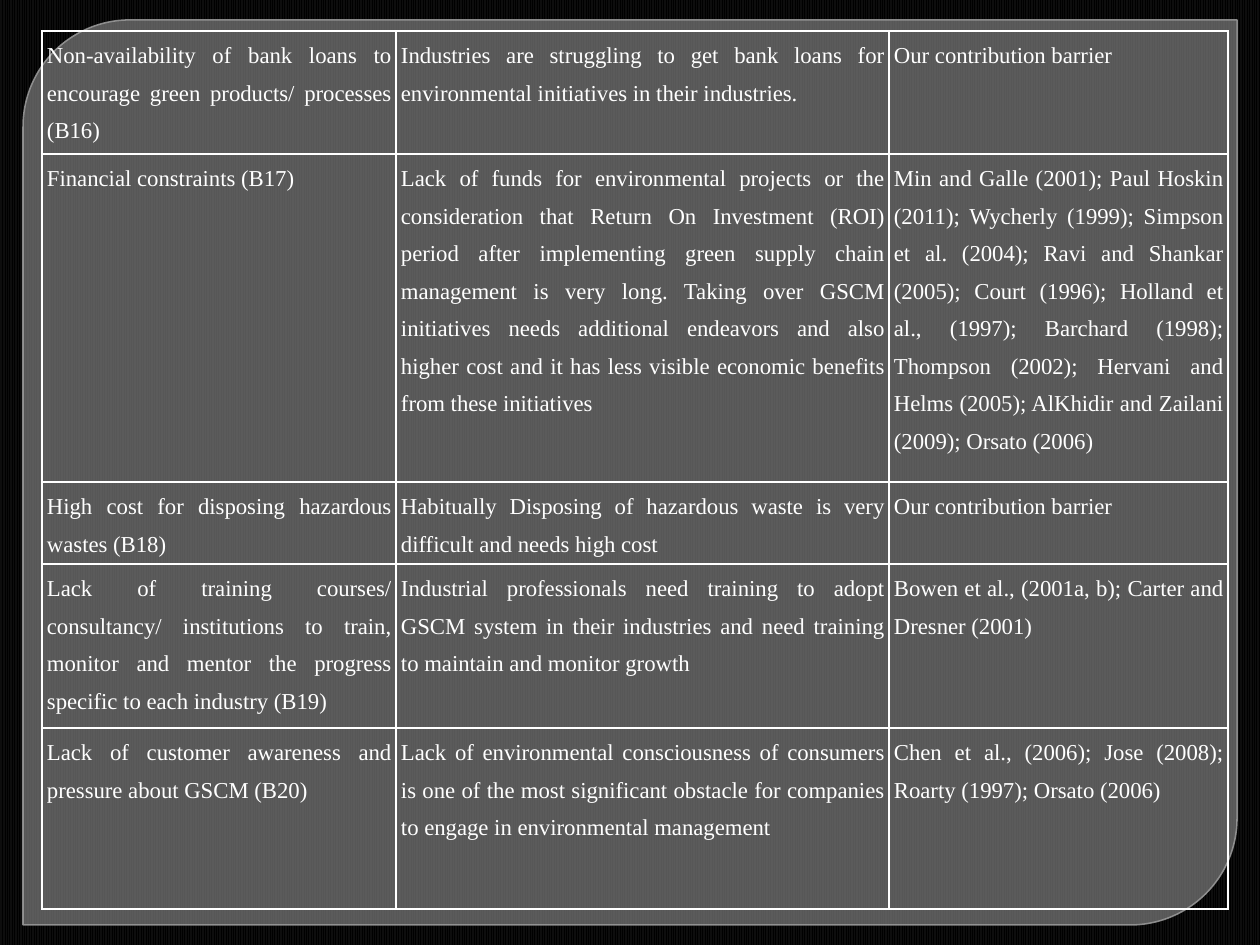
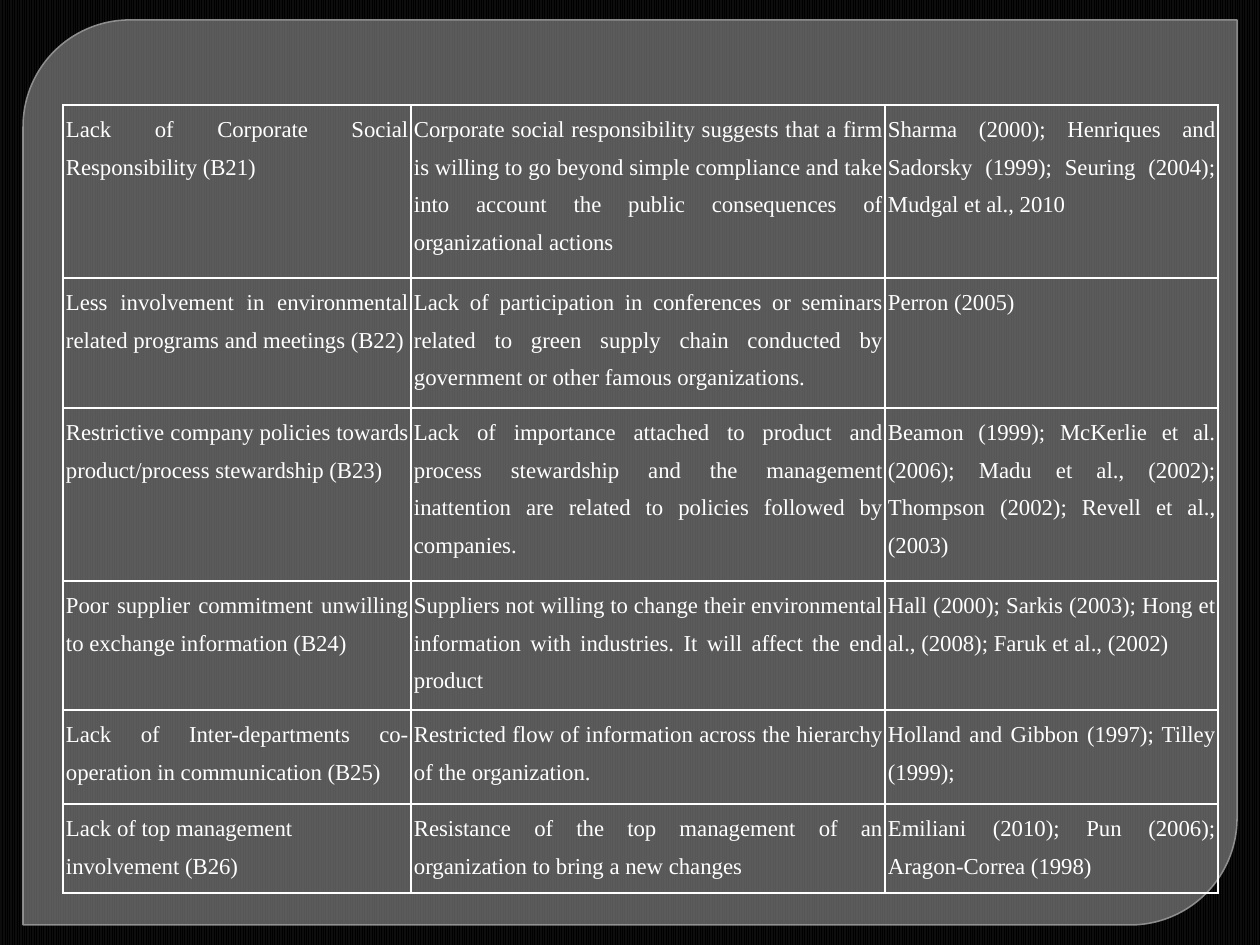
from lxml.etree import SubElement
from pptx import Presentation
from pptx.dml.color import RGBColor
from pptx.enum.dml import MSO_PATTERN as Pattern
from pptx.enum.shapes import MSO_SHAPE as Shape
from pptx.enum.text import MSO_ANCHOR as Anchor, PP_ALIGN as Align
from pptx.oxml import parse_xml
from pptx.oxml.ns import nsdecls, qn
from pptx.util import Pt

EMU_PER_PX = 914400 / 126
BLACK = RGBColor(0x00, 0x00, 0x00)
STRIPE = RGBColor(0x0D, 0x0D, 0x0D)
PANEL = RGBColor(0x86, 0x86, 0x86)
PANEL_EDGE = RGBColor(0x9A, 0x9A, 0x9A)
WHITE = RGBColor(0xFF, 0xFF, 0xFF)
FONT = "Times New Roman"
TEXT_SIZE = Pt(13)
LINE_SPACING = 1.5

FINANCE_AND_AWARENESS = [
    ("Non-availability of bank loans to encourage green products/ processes (B16)",
     "Industries are struggling to get bank loans for environmental initiatives "
     "in their industries.",
     "Our contribution barrier"),
    ("Financial constraints (B17)",
     "Lack of funds for environmental projects or the consideration that Return On "
     "Investment (ROI) period after implementing green supply chain management is very "
     "long. Taking over GSCM initiatives needs additional endeavors and also higher cost "
     "and it has less visible economic benefits from these initiatives",
     "Min and Galle (2001); Paul Hoskin (2011); Wycherly (1999); Simpson et al. (2004); "
     "Ravi and Shankar (2005); Court (1996); Holland et al., (1997); Barchard (1998); "
     "Thompson (2002); Hervani and Helms (2005); AlKhidir and Zailani (2009); Orsato (2006)"),
    ("High cost for disposing hazardous wastes (B18)",
     "Habitually Disposing of hazardous waste is very difficult and needs high cost",
     "Our contribution barrier"),
    ("Lack of training courses/ consultancy/ institutions to train, monitor and mentor "
     "the progress specific to each industry (B19)",
     "Industrial professionals need training to adopt GSCM system in their industries "
     "and need training to maintain and monitor growth",
     "Bowen et al., (2001a, b); Carter and Dresner (2001)"),
    ("Lack of customer awareness and pressure about GSCM (B20)",
     "Lack of environmental consciousness of consumers is one of the most significant "
     "obstacle for companies to engage in environmental management",
     "Chen et al., (2006); Jose (2008); Roarty (1997); Orsato (2006)"),
]

POLICY_AND_MANAGEMENT = [
    ("Lack of Corporate Social Responsibility (B21)",
     "Corporate social responsibility suggests that a firm is willing to go beyond simple "
     "compliance and take into account the public consequences of organizational actions",
     "Sharma (2000); Henriques and Sadorsky (1999); Seuring (2004); Mudgal et al., 2010"),
    ("Less involvement in environmental related programs and meetings (B22)",
     "Lack of participation in conferences or seminars related to green supply chain "
     "conducted by government or other famous organizations.",
     "Perron (2005)"),
    ("Restrictive company policies towards product/process stewardship (B23)",
     "Lack of importance attached to product and process stewardship and the management "
     "inattention are related to policies followed by companies.",
     "Beamon (1999); McKerlie et al. (2006); Madu et al., (2002); Thompson (2002); "
     "Revell et al., (2003)"),
    ("Poor supplier commitment unwilling to exchange information (B24)",
     "Suppliers not willing to change their environmental information with industries. "
     "It will affect the end product",
     "Hall (2000); Sarkis (2003); Hong et al., (2008); Faruk et al., (2002)"),
    ("Lack of Inter-departments co-operation in communication (B25)",
     "Restricted flow of information across the hierarchy of the organization.",
     "Holland and Gibbon (1997); Tilley (1999);"),
    ("Lack of top management involvement (B26)",
     "Resistance of the top management of an organization to bring a new changes",
     "Emiliani (2010); Pun (2006); Aragon-Correa (1998)"),
]


def px(length):
    return round(length * EMU_PER_PX)


class BarrierDeck:
    def __init__(self):
        self.deck = Presentation()
        self.deck.slide_width, self.deck.slide_height = px(1260), px(945)
        self.slide = None
        backdrop = self.deck.slide_master.background.fill
        backdrop.patterned()
        backdrop.pattern = Pattern.NARROW_VERTICAL
        backdrop.fore_color.rgb = BLACK
        backdrop.back_color.rgb = STRIPE

    def add_slide(self):
        self.slide = self.deck.slides.add_slide(self.deck.slide_layouts[6])
        self.add_panel()

    def add_panel(self):
        panel = self.slide.shapes.add_shape(
            Shape.ROUND_2_DIAG_RECTANGLE, px(23), px(20), px(1214), px(905))
        panel.adjustments[0], panel.adjustments[1] = 0.118, 0
        panel.shadow.inherit = False
        panel.fill.solid()
        panel.fill.fore_color.rgb = PANEL
        panel.line.color.rgb = PANEL_EDGE
        panel.line.width = Pt(0.87)
        colours = panel._element.spPr.iter(qn("a:srgbClr"))
        for colour, opacity in zip(list(colours), (65, 88)):
            SubElement(colour, qn("a:alpha"), val=str(opacity * 1000))

    def add_barriers(self, left, top, widths, heights, barriers, inset):
        table = self.slide.shapes.add_table(
            len(heights), len(widths), px(left), px(top),
            px(sum(widths)), px(sum(heights))).table
        table.first_row = table.horz_banding = False
        for column, width in zip(table.columns, widths):
            column.width = px(width)
        for row, height, barrier in zip(table.rows, heights, barriers):
            row.height = px(height)
            for cell, text in zip(row.cells, barrier):
                self.fill_cell(cell, text, inset)
        return table

    def fill_cell(self, cell, text, inset):
        cell.text_frame.text = text
        cell.vertical_anchor = Anchor.TOP
        cell.margin_left = cell.margin_right = px(inset)
        cell.margin_top = cell.margin_bottom = 0
        cell.fill.background()
        paragraph = cell.text_frame.paragraphs[0]
        paragraph.alignment = Align.JUSTIFY
        paragraph.line_spacing = LINE_SPACING
        font = paragraph.runs[0].font
        font.name, font.size = FONT, TEXT_SIZE
        font.color.rgb = WHITE
        self.add_borders(cell)

    def add_borders(self, cell):
        properties = cell._tc.get_or_add_tcPr()
        for position, side in enumerate("LRTB"):
            properties.insert(position, parse_xml(
                f'<a:ln{side} {nsdecls("a")} w="{Pt(1)}"><a:solidFill>'
                f'<a:srgbClr val="{WHITE}"/></a:solidFill></a:ln{side}>'))


def main():
    barriers = BarrierDeck()

    barriers.add_slide()
    barriers.add_barriers(42, 31, (354, 493, 339), (123, 328, 82, 164, 181),
                          FINANCE_AND_AWARENESS, inset=5)

    barriers.add_slide()
    policy = barriers.add_barriers(63, 105, (348, 474, 333), (173, 130, 173, 129, 94, 89),
                                   POLICY_AND_MANAGEMENT, inset=3)
    top_management = policy.cell(len(POLICY_AND_MANAGEMENT) - 1, 0)
    top_management.text_frame.paragraphs[0].alignment = Align.LEFT

    barriers.deck.save("out.pptx")


if __name__ == "__main__":
    main()
